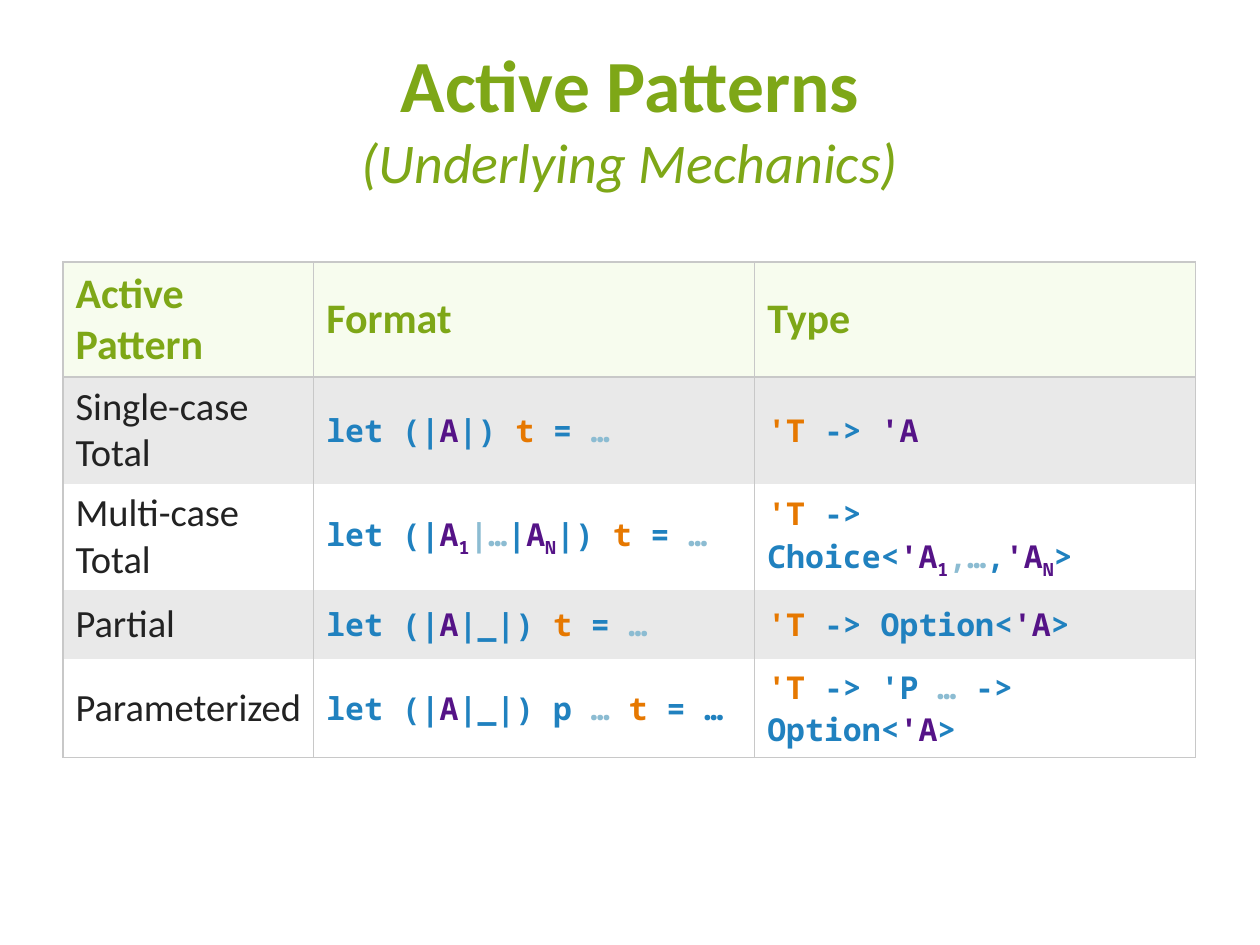
from dataclasses import dataclass

from lxml.etree import SubElement
from pptx import Presentation
from pptx.dml.color import RGBColor
from pptx.enum.text import MSO_ANCHOR, MSO_AUTO_SIZE, PP_ALIGN
from pptx.oxml.ns import qn
from pptx.util import Inches, Pt


@dataclass(frozen=True)
class Theme:
    body_font: str = "Calibri"
    code_font: str = "Noto Sans Mono"
    green: str = "7EA717"
    ink: str = "222222"
    blue: str = "2081BF"
    purple: str = "551387"
    orange: str = "E67800"
    pale_blue: str = "8CBCD2"
    border: str = "C8C8C8"
    header_fill: str = "F7FCEE"
    band_fill: str = "E9E9E9"
    plain_fill: str = "FFFFFF"
    title_size: int = 42
    subtitle_size: int = 32
    header_size: int = 24
    label_size: int = 22
    code_size: int = 18


class SlideBuilder:
    def __init__(self, deck, theme):
        self.theme = theme
        self.page = deck.slides.add_slide(deck.slide_layouts[5])

    def span(self, para, text, size, color, font=None, bold=False, italic=False):
        span = para.add_run()
        span.text = text
        span.font.name = font or self.theme.body_font
        span.font.size = Pt(size)
        span.font.bold = bold
        span.font.italic = italic
        span.font.color.rgb = RGBColor.from_string(color)
        return span

    def title(self, text, subtitle, left, top, width, height):
        theme = self.theme
        box = self.page.shapes.title
        box.left, box.top, box.width, box.height = map(Inches, (left, top, width, height))
        box.text_frame.auto_size = MSO_AUTO_SIZE.NONE
        box.text_frame.vertical_anchor = MSO_ANCHOR.MIDDLE
        para = box.text_frame.paragraphs[0]
        para.alignment = PP_ALIGN.CENTER
        self.span(para, text, theme.title_size, theme.green, bold=True)
        para.add_line_break()
        self.span(para, subtitle, theme.subtitle_size, theme.green, italic=True)

    def code(self, para, parts):
        """Write (role, text) parts; the role "sub" is a purple subscript."""
        theme = self.theme
        colors = {"key": theme.blue, "case": theme.purple, "sub": theme.purple,
                  "input": theme.orange, "more": theme.pale_blue}
        for role, text in parts:
            span = self.span(para, text, theme.code_size, colors[role], theme.code_font, bold=True)
            if role == "sub":
                span.font._element.set("baseline", "-25000")

    def borders(self, cell, visible):
        properties = cell._tc.get_or_add_tcPr()
        for side in "LRTB":
            line = SubElement(properties, qn(f"a:ln{side}"), w=str(Pt(1)))
            if side in visible:
                fill = SubElement(line, qn("a:solidFill"))
                SubElement(fill, qn("a:srgbClr"), val=self.theme.border)
            else:
                SubElement(line, qn("a:noFill"))

    def table(self, headers, rows, left, top, widths, row_height):
        theme = self.theme
        count = len(rows) + 1
        frame = self.page.shapes.add_table(
            count, len(headers), Inches(left), Inches(top),
            Inches(sum(widths)), Inches(row_height * count))
        table = frame.table
        for column, width in zip(table.columns, widths):
            column.width = Inches(width)
        for row_index, values in enumerate([headers, *rows]):
            table.rows[row_index].height = Inches(row_height)
            # Side rules everywhere; horizontal rules around the header and at the end
            sides = {0: "LRTB", 1: "LRT", count - 1: "LRB"}.get(row_index, "LR")
            band = theme.band_fill if row_index % 2 else theme.plain_fill
            fill = band if row_index else theme.header_fill
            for column_index, value in enumerate(values):
                cell = table.cell(row_index, column_index)
                self.borders(cell, sides)
                cell.fill.solid()
                cell.fill.fore_color.rgb = RGBColor.from_string(fill)
                cell.vertical_anchor = MSO_ANCHOR.MIDDLE
                para = cell.text_frame.paragraphs[0]
                if row_index == 0:
                    self.span(para, value, theme.header_size, theme.green, bold=True)
                elif column_index == 0:
                    self.span(para, value, theme.label_size, theme.ink)
                else:
                    self.code(para, value)


# Code fragments shared by the rows
LET = [("key", "let (|"), ("case", "A")]
INPUT = [("input", "t"), ("key", " = ")]
MORE = [("more", "…")]
INPUT_TYPE = [("input", "'T")]
CASE_TYPE = [("case", "'A")]
CLOSE = [("key", ">")]

# Table content: label, format, type
ROWS = [
    ("Single-case Total",
     LET + [("key", "|) ")] + INPUT + MORE,
     INPUT_TYPE + [("key", " -> ")] + CASE_TYPE),
    ("Multi-case Total",
     LET + [("sub", "1"), ("more", "|…"), ("key", "|"), ("case", "A"), ("sub", "N"),
            ("key", "|) ")] + INPUT + MORE,
     INPUT_TYPE + [("key", " -> Choice<")] + CASE_TYPE
     + [("sub", "1"), ("more", ",…"), ("key", ",")] + CASE_TYPE + [("sub", "N")] + CLOSE),
    ("Partial",
     LET + [("key", "|_|) ")] + INPUT + MORE,
     INPUT_TYPE + [("key", " -> Option<")] + CASE_TYPE + CLOSE),
    ("Parameterized",
     LET + [("key", "|_|) p "), ("more", "… "), ("input", "t"), ("key", " = …")],
     INPUT_TYPE + [("key", " -> 'P ")] + MORE + [("key", " -> Option<")] + CASE_TYPE + CLOSE),
]

# Deck
deck = Presentation()
deck.slide_width, deck.slide_height = Inches(10), Inches(7.5)
builder = SlideBuilder(deck, Theme())

# Title and table
builder.title("Active Patterns", "(Underlying Mechanics)", 0.5, 0.3, 9, 1.25)
builder.table(("Active Pattern", "Format", "Type"), ROWS,
              left=0.5, top=2.08, widths=(1.99, 3.5, 3.5), row_height=0.55)

deck.save("out.pptx")
